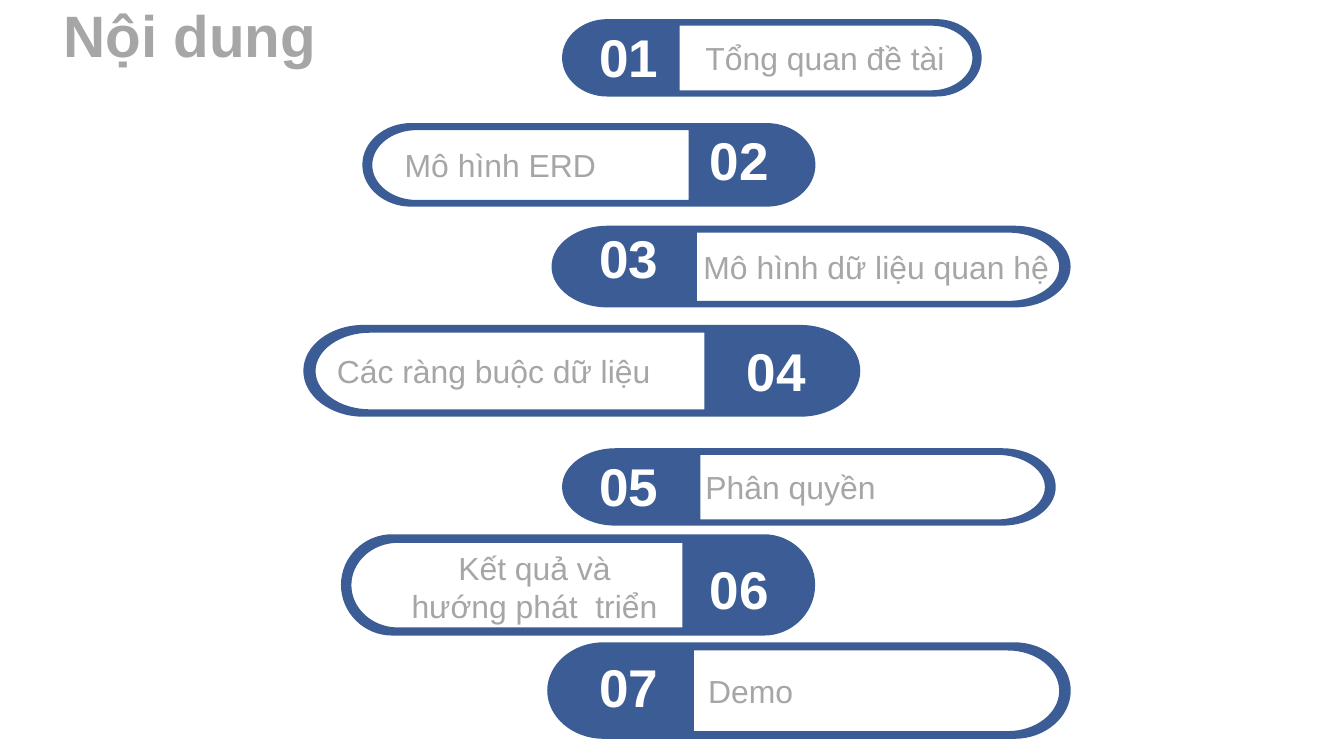
from lxml.etree import SubElement
from pptx import Presentation
from pptx.dml.color import RGBColor
from pptx.enum.text import MSO_ANCHOR, MSO_AUTO_SIZE, PP_ALIGN
from pptx.oxml.ns import qn
from pptx.util import Inches, Pt

BLUE, GRAY, WHITE = "3B5C94", "A6A6A6", "FFFFFF"
TITLE = ("Nội dung", (1.8, -0.13, 24.68, 9.36))

# Places are percentages of the slide: left, top, width, height.
# Each entry: label, label indent, number side, bar place, number left and top.
TOPICS = [
    ("Tổng quan đề tài", 10.67, "left", (41.82, 2.53, 31.22, 10.24), (43.48, 3.2)),
    ("Mô hình ERD", 3.15, "right", (26.96, 16.28, 33.71, 11.06), (51.68, 16.9)),
    ("Mô hình dữ liệu quan hệ", 11.3, "left", (41.04, 29.86, 38.62, 10.81), (43.48, 29.84)),
    ("Các ràng buộc dữ liệu", 2.49, "right", (22.57, 42.98, 41.44, 12.14), (54.45, 44.75)),
    ("Phân quyền", 10.67, "left", (41.82, 59.29, 36.73, 10.24), (43.48, 59.92)),
    (None, 0, "right", (25.37, 70.67, 35.28, 13.4), (51.68, 73.58)),
    ("Demo", 11.97, "left", (40.72, 84.96, 38.95, 12.77), (43.48, 86.6)),
]
RESULTS = ("Kết quả và\nhướng phát  triển", (27.57, 71.93, 24.4, 16.56))
NUMBER_SIZE = (6.61, 8.47)

OUTER_RADIUS, INNER_RADIUS = 0.108, 0.098
RIM, NUMBER_SHARE = 0.022, 0.28
INNER_TOP, INNER_BOTTOM = 0.085, 0.92
ROUNDNESS = 0.55

deck = Presentation()
deck.slide_width, deck.slide_height = Inches(14.06), Inches(7.91)
page = deck.slides.add_slide(deck.slide_layouts[5])


def color(value):
    return RGBColor.from_string(value)


def across(percent):
    return round(deck.slide_width * percent / 100)


def down(percent):
    return round(deck.slide_height * percent / 100)


def area(place):
    left, top, width, height = place
    return across(left), down(top), across(width), down(height)


def write(shape, text, size=24, ink=GRAY, bold=False, align=PP_ALIGN.CENTER,
          anchor=MSO_ANCHOR.TOP, margins=(0, 0, 0, 0)):
    frame = shape.text_frame
    frame.text = text
    frame.word_wrap = True
    frame.auto_size = MSO_AUTO_SIZE.NONE
    frame.vertical_anchor = anchor
    (frame.margin_left, frame.margin_top,
     frame.margin_right, frame.margin_bottom) = margins
    for para in frame.paragraphs:
        para.alignment = align
        para.font.name, para.font.size, para.font.bold = "Arial", Pt(size), bold
        para.font.color.rgb = color(ink)


def half_round(edge, radius, start, end):
    middle, half = (start + end) / 2, (end - start) / 2
    tip, bend = edge + radius, edge + radius * ROUNDNESS
    return [(edge, start),
            (bend, start), (tip, middle - half * ROUNDNESS), (tip, middle),
            (tip, middle + half * ROUNDNESS), (bend, end), (edge, end)]


def bar_contours():
    outer = (half_round(1 - OUTER_RADIUS, OUTER_RADIUS, 0, 1)
             + half_round(OUTER_RADIUS, -OUTER_RADIUS, 1, 0))
    inner = half_round(1 - RIM - INNER_RADIUS, INNER_RADIUS, INNER_TOP, INNER_BOTTOM)
    inner += [(NUMBER_SHARE, INNER_BOTTOM), (NUMBER_SHARE, INNER_TOP)]
    return (outer, "CCLCC"), (inner, "CCLL")


def bend_lines(bar, kinds):
    lines = iter(list(bar.element.iter(qn("a:lnTo"))))
    for kind in kinds:
        first = next(lines)
        if kind == "C":
            first.addprevious(curve := SubElement(first.getparent(), qn("a:cubicBezTo")))
            for line in (first, next(lines), next(lines)):
                curve.append(line[0])
                line.getparent().remove(line)


def add_bar(place, side):
    left, top, width, height = area(place)
    builder, kinds = None, ""
    for contour, contour_kinds in bar_contours():
        points = [(left + width * (x if side == "left" else 1 - x), top + height * y)
                  for x, y in contour]
        if builder is None:
            builder = page.shapes.build_freeform(*points[0])
        else:
            builder.move_to(*points[0])
        builder.add_line_segments(points[1:], close=True)
        kinds += contour_kinds
    bar = builder.convert_to_shape()
    bend_lines(bar, kinds)
    bar.shadow.inherit = False
    bar.fill.solid()
    bar.fill.fore_color.rgb = color(BLUE)
    bar.line.fill.background()
    return bar


heading, heading_place = TITLE
title = page.shapes.title
title.left, title.top, title.width, title.height = area(heading_place)
write(title, heading, size=44, bold=True)

for number, (label, indent, side, place, number_corner) in enumerate(TOPICS, 1):
    bar = add_bar(place, side)
    if label:
        write(bar, label, align=PP_ALIGN.LEFT, anchor=MSO_ANCHOR.MIDDLE,
              margins=(across(indent), 0, 0, 0))
    number_box = page.shapes.add_textbox(*area(number_corner + NUMBER_SIZE))
    write(number_box, f"{number:02}", size=40, ink=WHITE, bold=True)

results, results_place = RESULTS
results_box = page.shapes.add_textbox(*area(results_place))
write(results_box, results,
      margins=(Inches(0.1), Inches(0.05), Inches(0.1), Inches(0.05)))

deck.save("out.pptx")
